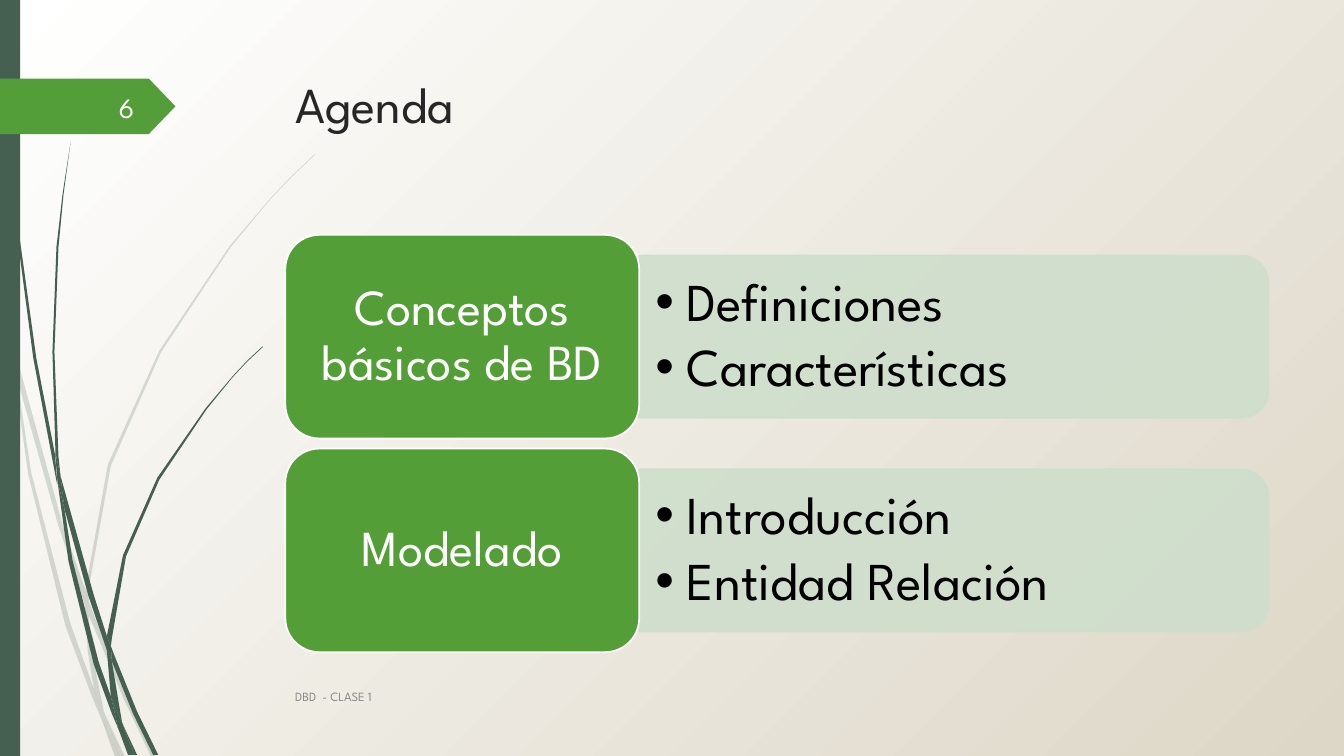
from lxml import etree
from pptx import Presentation
from pptx.dml.color import RGBColor
from pptx.enum.shapes import MSO_SHAPE as Shape
from pptx.enum.text import MSO_ANCHOR as Anchor, PP_ALIGN as Align
from pptx.oxml.ns import qn
from pptx.util import Inches, Pt

FONT = "League Spartan"
DARK, GREEN, NODE, PANEL = "455F51", "549E39", "539E36", "CFDECC"

# Outlines of the grass pieces, as (x, y)
FAINT_GRASS = [
    [(0.11, 3.5), (0.09, 3.22), (0, 2.82), (0, 2.99), (0.1, 3.44)],
    [(0.58, 5.22), (0.84, 5.99), (0.85, 5.86), (0.62, 5.2), (0.14, 3.45), (0.17, 3.76)],
    [(0.92, 6.07), (0.88, 5.96), (0.88, 6.1), (1.23, 6.94), (1.5, 7.51), (1.55, 7.51),
     (1.27, 6.92)],
    [(1.19, 7.51), (1.24, 7.51), (1.05, 7.11)],
    [(0.93, 6.83), (0.7, 6.19), (0.31, 4.69), (0.17, 3.76), (0.11, 3.5), (0.28, 4.7),
     (0.65, 6.21), (0.92, 6.93), (1.01, 7.14), (0.99, 7.07)],
    [(0.84, 5.99), (0.87, 6.46), (0.93, 6.83), (0.96, 6.92), (1.05, 7.11), (1.03, 7.06),
     (0.91, 6.46), (0.88, 6.1), (0.88, 6.08)],
    [(0.88, 5.84), (1.1, 4.62), (1.6, 3.49), (2.29, 2.45), (2.68, 1.98), (2.9, 1.75),
     (3.12, 1.54), (3.12, 1.53), (2.89, 1.75), (2.68, 1.97), (2.28, 2.44), (1.58, 3.48),
     (1.07, 4.61), (0.85, 5.84), (0.85, 5.86), (0.88, 5.96)],
    [(1.01, 7.14), (1.14, 7.51), (1.19, 7.51)],
    [(0.88, 6.08), (0.88, 6.1), (0.88, 5.96), (0.85, 5.86), (0.84, 5.99)],
    [(0.96, 6.92), (0.93, 6.83), (0.99, 7.07), (1.01, 7.14), (1.19, 7.51), (1.05, 7.11)],
]
DARK_GRASS = [
    [(0.07, 1.1), (0.17, 2.33), (0.33, 3.55), (0.56, 4.77), (0.57, 4.81), (0.55, 4.57),
     (0.55, 4.53), (0.36, 3.55), (0.19, 2.32), (0.08, 1.09), (0.05, 0.48), (0.04, 0),
     (0.03, 0), (0.04, 0.48)],
    [(0.88, 5.92), (1.06, 6.45), (1.06, 6.33), (1.06, 6.31), (0.93, 5.9), (0.6, 4.72),
     (0.64, 5.05)],
    [(1.13, 6.49), (1.1, 6.41), (1.11, 6.56), (1.32, 7.08), (1.52, 7.49), (1.57, 7.49),
     (1.36, 7.06)],
    [(1.1, 6.91), (0.98, 6.57), (0.72, 5.56), (0.64, 5.05), (0.57, 4.77), (0.68, 5.57),
     (0.93, 6.59), (1.11, 7.08), (1.17, 7.22), (1.16, 7.17)],
    [(0.6, 4.72), (0.58, 4.53), (0.54, 3.49), (0.58, 2.45), (0.63, 1.93), (0.7, 1.41),
     (0.62, 1.93), (0.56, 2.45), (0.52, 3.49), (0.55, 4.49)],
    [(1.33, 7.49), (1.36, 7.49), (1.22, 7.19)],
    [(0.57, 4.77), (0.64, 5.05), (0.6, 4.72), (0.55, 4.49), (0.55, 4.53)],
    [(1.11, 6.33), (1.25, 5.52), (1.58, 4.76), (2.05, 4.06), (2.31, 3.74), (2.45, 3.59),
     (2.61, 3.44), (2.6, 3.44), (2.45, 3.58), (2.31, 3.73), (2.04, 4.05), (1.56, 4.74),
     (1.22, 5.51), (1.06, 6.31), (1.1, 6.41)],
    [(1.17, 7.22), (1.27, 7.49), (1.31, 7.49)],
    [(1.06, 6.45), (1.1, 6.91), (1.16, 7.06), (1.22, 7.19), (1.21, 7.16), (1.11, 6.56),
     (1.09, 6.51)],
    [(1.06, 6.45), (1.09, 6.51), (1.11, 6.56), (1.1, 6.41), (1.06, 6.31), (1.06, 6.33)],
    [(1.16, 7.06), (1.1, 6.91), (1.16, 7.17), (1.17, 7.22), (1.3, 7.49), (1.33, 7.49),
     (1.22, 7.19)],
]
TOPICS = [
    ("Conceptos básicos de BD", ["Definiciones", "Características"]),
    ("Modelado", ["Introducción", "Entidad Relación"]),
]


def rgb(value):
    return RGBColor.from_string(value)


def set_alpha(fill_parent, percent):
    for color in fill_parent.iter(qn("a:srgbClr")):
        etree.SubElement(color, qn("a:alpha"), val=str(percent * 1000))


def style(shape, fill, line=None, alpha=None):
    shape.shadow.inherit = False
    shape.fill.solid()
    shape.fill.fore_color.rgb = rgb(fill)
    if alpha:
        set_alpha(shape.fill._xPr, alpha)
    if line:
        shape.line.color.rgb = rgb(line)
        shape.line.width = Pt(1.25)
    else:
        shape.line.fill.background()


def add_box(slide, kind, box, fill, **options):
    shape = slide.shapes.add_shape(kind, *map(Inches, box))
    style(shape, fill, **options)
    return shape


def write(shape, lines, size, color, align=Align.LEFT, anchor=Anchor.MIDDLE,
          inset=(0.1, 0.05), spacing=1):
    frame = shape.text_frame
    frame.word_wrap = True
    frame.vertical_anchor = anchor
    frame.margin_left = frame.margin_right = Inches(inset[0])
    frame.margin_top = frame.margin_bottom = Inches(inset[1])
    frame.text = "\n".join(lines)
    for paragraph in frame.paragraphs:
        paragraph.alignment = align
        paragraph.line_spacing = spacing
        paragraph.font.name = FONT
        paragraph.font.size = Pt(size)
        paragraph.font.color.rgb = rgb(color)
    return frame.paragraphs


def add_text(slide, box, lines, size, color, **options):
    return write(slide.shapes.add_textbox(*map(Inches, box)), lines, size, color, **options)


def add_bullet(paragraph, color):
    properties = paragraph._p.get_or_add_pPr()
    properties.set("marL", str(Inches(0.31)))
    properties.set("indent", str(Inches(-0.31)))
    bullet_color = etree.Element(qn("a:buClr"))
    etree.SubElement(bullet_color, qn("a:srgbClr"), val=color)
    defaults = properties.find(qn("a:defRPr"))
    defaults.addprevious(bullet_color)
    defaults.addprevious(etree.Element(qn("a:buFont"), typeface="Arial"))
    defaults.addprevious(etree.Element(qn("a:buChar"), char="•"))


def add_grass(slide, pieces, alpha=None):
    units = 1000  # outline units in an inch
    for piece in pieces:
        start, *others = [(x * units, y * units) for x, y in piece]
        builder = slide.shapes.build_freeform(*start, scale=Inches(1) / units)
        builder.add_line_segments(others, close=True)
        style(builder.convert_to_shape(), DARK, alpha=alpha)


def add_backdrop(slide, height):
    # Diagonal gradient
    fill = slide.background.fill
    fill.gradient()
    fill.gradient_angle = 315
    for stop, color in zip(fill.gradient_stops, ("FFFFFF", "DDD7C7")):
        stop.color.rgb = rgb(color)
    # Grass and side bar
    add_grass(slide, FAINT_GRASS, alpha=20)
    add_grass(slide, DARK_GRASS)
    add_box(slide, Shape.RECTANGLE, (0, 0, 0.2, height), DARK)


def add_page_number(slide, box, number):
    left, top, width, height = box
    arrow = add_box(slide, Shape.PENTAGON, box, GREEN)
    arrow.adjustments[0] = 0.48
    add_text(slide, (left + 0.58, top + 0.08, 0.85, 0.4), [number], 20, "FEFFFF",
             align=Align.RIGHT)


def add_topic(slide, box, name, points):
    left, top, width, height = box
    node_width = 3.51
    panel_left, panel_width, panel_height = left + node_width, width - node_width, 1.61
    # Panel: turned a quarter so that its round corners face right
    panel = add_box(slide, Shape.ROUND_2_SAME_RECTANGLE,
                    (panel_left + (panel_width - panel_height) / 2,
                     top + (height - panel_width) / 2, panel_height, panel_width),
                    PANEL, line=PANEL, alpha=90)
    panel.rotation = 90
    set_alpha(panel.line._ln, 90)
    # Bulleted points
    paragraphs = add_text(slide, (panel_left, top + 0.28, panel_width - 0.08, 1.46), points,
                          38, "000000", inset=(0.16, 0.08), spacing=0.9)
    for paragraph in paragraphs:
        add_bullet(paragraph, "000000")
    for paragraph in paragraphs[1:]:
        paragraph.space_before = Pt(5.7)
    # Topic name
    node = add_box(slide, Shape.ROUNDED_RECTANGLE, (left, top, node_width, height), NODE,
                   line="FFFFFF")
    write(node, [name], 36, "FFFFFF", align=Align.CENTER, inset=(0.25, 0.17), spacing=0.9)


def main():
    presentation = Presentation()
    presentation.slide_width, presentation.slide_height = Inches(13.33), Inches(7.5)
    slide = presentation.slides.add_slide(presentation.slide_layouts[6])
    add_backdrop(slide, 7.5)
    add_page_number(slide, (0, 0.78, 1.74, 0.55), "6")
    add_text(slide, (2.83, 0.68, 9.75, 1.4), ["Agenda"], 36, "262626", anchor=Anchor.TOP)
    for row, (name, points) in enumerate(TOPICS):
        add_topic(slide, (2.83, 2.33 + row * 2.12, 9.75, 2.02), name, points)
    add_text(slide, (2.83, 6.71, 8.33, 0.4), ["DBD  - CLASE 1"], 9, "888888")
    presentation.save("out.pptx")


if __name__ == "__main__":
    main()
